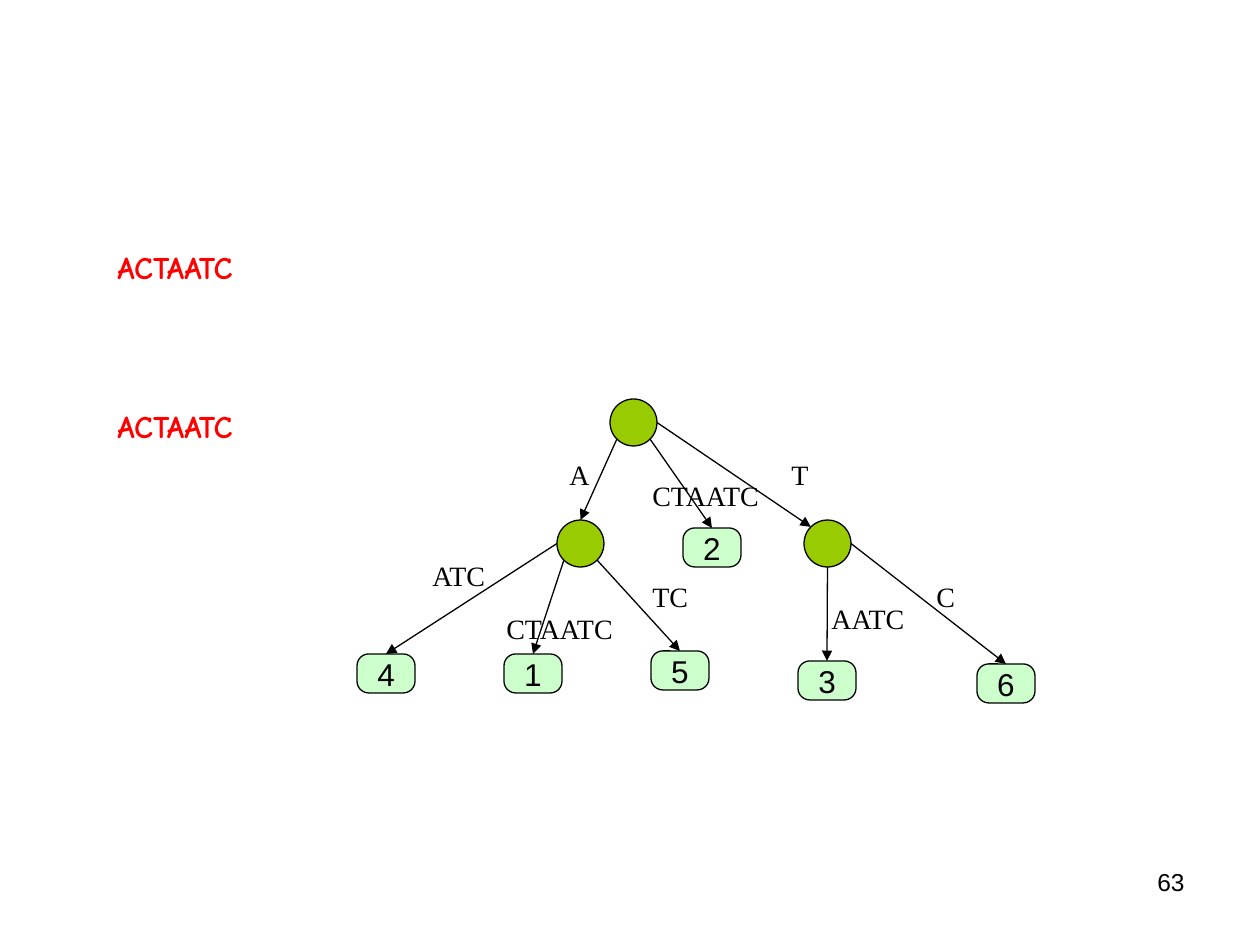
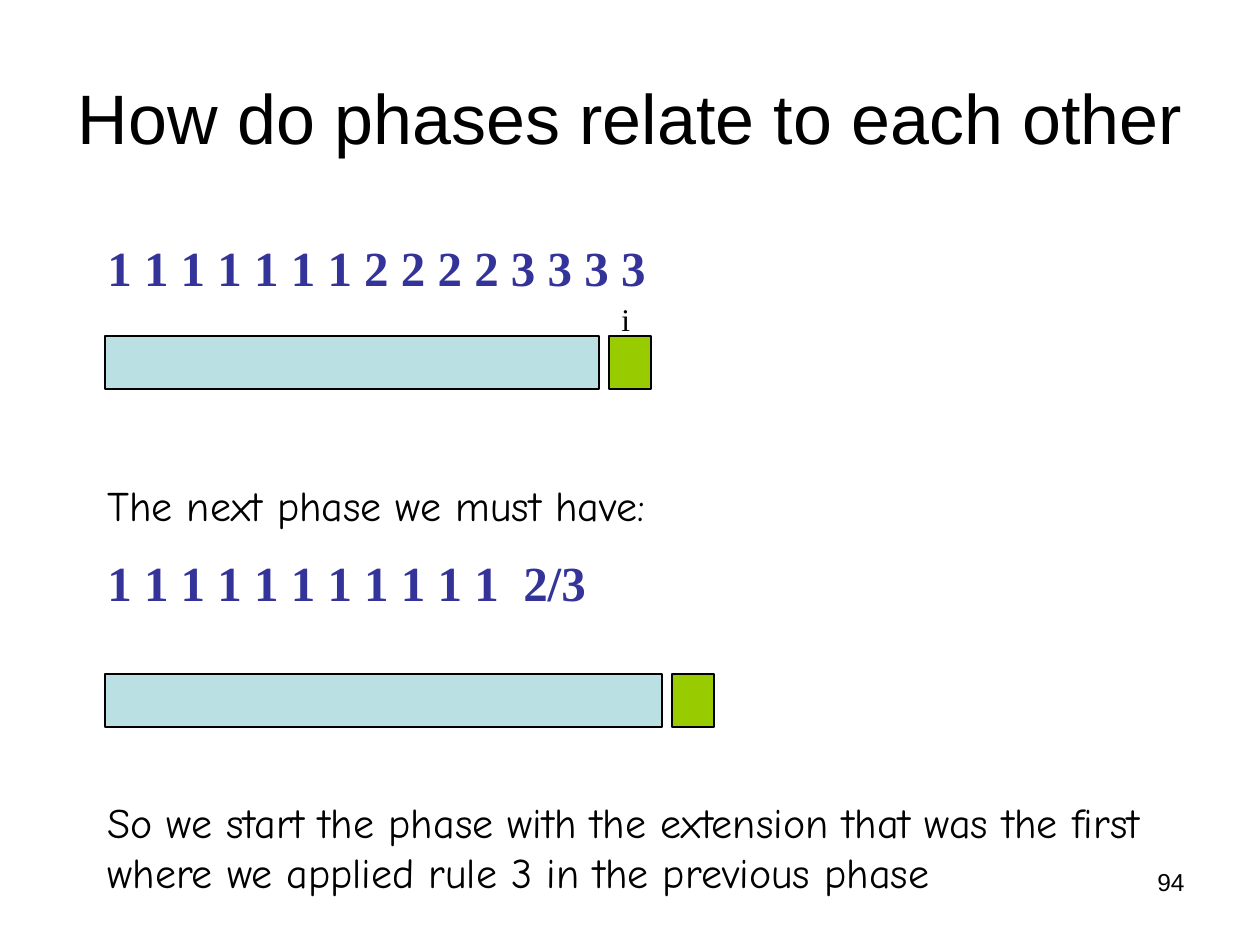
from dataclasses import dataclass
from math import sqrt

from lxml import etree
from pptx import Presentation
from pptx import util as u
from pptx.dml.color import RGBColor
from pptx.enum import shapes, text
from pptx.oxml.ns import qn

PX = 914400 / 126


def px(length):
    return u.Emu(round(length * PX))


@dataclass(frozen=True)
class Theme:
    black: str = "000000"
    red: str = "FF0000"
    navy: str = "333399"
    green: str = "99CC00"
    mint: str = "CCFFCC"
    aqua: str = "BBE0E3"
    sans: str = "Arial"
    hand: str = "Comic Neue"
    serif: str = "Times New Roman"
    title: int = 40
    digits: int = 28
    body: int = 24
    normal: int = 18
    edge: int = 16
    footer: int = 14
    outline: float = 0.75


T = Theme()
LEFT, CENTER, RIGHT = text.PP_ALIGN.LEFT, text.PP_ALIGN.CENTER, text.PP_ALIGN.RIGHT
PRESET = shapes.MSO_SHAPE


# Shared parts
def write(frame, words, size, font, color=T.black, bold=False, align=LEFT):
    line = frame.paragraphs[0]
    line.text = words
    line.alignment = align
    line.font.size = u.Pt(size)
    line.font.name = font
    line.font.bold = bold
    line.font.color.rgb = RGBColor.from_string(color)


def add_text(slide, box, words, size, font, anchor=text.MSO_ANCHOR.TOP, **style):
    frame = slide.shapes.add_textbox(*map(px, box)).text_frame
    frame.word_wrap = True
    frame.vertical_anchor = anchor
    write(frame, words, size, font, **style)


def add_outlined(slide, preset, box, fill):
    outlined = slide.shapes.add_shape(preset, *map(px, box))
    outlined.shadow.inherit = False
    outlined.fill.solid()
    outlined.fill.fore_color.rgb = RGBColor.from_string(fill)
    outlined.line.color.rgb = RGBColor.from_string(T.black)
    outlined.line.width = u.Pt(T.outline)
    return outlined


def add_title(slide, words):
    add_text(slide, (63, 38, 1134, 158), words, T.title, T.sans,
             anchor=text.MSO_ANCHOR.MIDDLE, align=CENTER)


def add_page_number(slide, number):
    add_text(slide, (903, 861, 294, 65), str(number), T.footer, T.sans, align=RIGHT)


# Suffix tree: all places are relative to the tree's corner
NODE, LEAF_W, LEAF_H = 47, 58, 39
NODES = {"root": (253, 0), "a": (200, 121), "t": (447, 121)}
LEAVES = {"1": (147, 255), "2": (326, 129), "3": (441, 262),
          "4": (0, 255), "5": (294, 252), "6": (620, 265)}
D = 1 / sqrt(2)
TOP, TOP_LEFT, MID_LEFT, LOW_LEFT = (0, -1), (-D, -D), (-1, 0), (-D, D)
BOTTOM, LOW_RIGHT, MID_RIGHT = (0, 1), (D, D), (1, 0)
NODE_EDGES = [("root", LOW_LEFT, "a", TOP), ("root", MID_RIGHT, "t", TOP_LEFT)]
LEAF_EDGES = [("root", LOW_RIGHT, "2"), ("a", MID_LEFT, "4"), ("a", LOW_LEFT, "1"),
              ("a", LOW_RIGHT, "5"), ("t", BOTTOM, "3"), ("t", MID_RIGHT, "6")]
EDGE_LABELS = [("A", 200, 52, 84), ("CTAATC", 283, 73, 147), ("T", 422, 52, 135),
               ("ATC", 63, 153, 84), ("CTAATC", 137, 206, 158), ("TC", 283, 174, 84),
               ("AATC", 462, 196, 135), ("C", 567, 174, 135)]


def rim_point(node, direction):
    """Point on a node's rim, in the given direction from its centre."""
    return [corner + NODE / 2 * (1 + step)
            for corner, step in zip(NODES[node], direction)]


def add_arrow(slide, start, end):
    arrow = slide.shapes.add_connector(
        shapes.MSO_CONNECTOR.STRAIGHT, *map(px, (*start, *end)))
    arrow.line.color.rgb = RGBColor.from_string(T.black)
    arrow.line.width = u.Pt(T.outline)
    properties = arrow._element.spPr
    etree.SubElement(properties.find(qn("a:ln")), qn("a:tailEnd"), type="triangle")
    etree.SubElement(properties, qn("a:effectLst"))
    return arrow


def suffix_tree(slide, left, top):
    def place(point):
        return left + point[0], top + point[1]

    # Nodes and numbered leaves
    for corner in NODES.values():
        add_outlined(slide, PRESET.OVAL, (*place(corner), NODE, NODE), T.green)
    leaves = {}
    for number, corner in LEAVES.items():
        leaf = add_outlined(slide, PRESET.ROUNDED_RECTANGLE,
                            (*place(corner), LEAF_W, LEAF_H), T.mint)
        leaf.adjustments[0] = 0.3
        leaf.text_frame.word_wrap = False
        leaf.text_frame.vertical_anchor = text.MSO_ANCHOR.MIDDLE
        write(leaf.text_frame, number, T.normal, T.sans, align=CENTER)
        leaves[number] = leaf

    # Edges and their labels
    for parent, leaving, child, entering in NODE_EDGES:
        add_arrow(slide, place(rim_point(parent, leaving)),
                  place(rim_point(child, entering)))
    for parent, leaving, number in LEAF_EDGES:
        arrow = add_arrow(slide, place(rim_point(parent, leaving)),
                          place(LEAVES[number]))
        arrow.end_connect(leaves[number], 0)
    for letters, x, y, width in EDGE_LABELS:
        add_text(slide, (*place((x, y)), width, 47), letters, T.edge, T.serif)


def tree_slide(slide):
    for top, width in ((242, 840), (401, 210)):
        add_text(slide, (105, top, width, 50), "ACTAATC", T.normal, T.hand,
                 color=T.red, bold=True)
    suffix_tree(slide, 357, 399)
    add_page_number(slide, 63)


# Phases
def phase_bar(slide, left, top, prefix_width):
    """Prefix followed by its next character; returns the character's left."""
    height, gap, character_width = 53, 10, 42
    character_left = left + prefix_width + gap
    add_outlined(slide, PRESET.RECTANGLE, (left, top, prefix_width, height), T.aqua)
    add_outlined(slide, PRESET.RECTANGLE,
                 (character_left, top, character_width, height), T.green)
    return character_left


def phases_slide(slide):
    add_title(slide, "How do phases relate to each other")
    for top, rules in ((231, "1 1 1 1 1 1 1 2 2 2 2 3 3 3 3"),
                       (546, "1 1 1 1 1 1 1 1 1 1 1  2/3")):
        add_text(slide, (95, top, 1061, 72), rules, T.digits, T.serif,
                 color=T.navy, bold=True)
    index_left = phase_bar(slide, 105, 336, 494)
    add_text(slide, (index_left, 294, 53, 50), "i", T.normal, T.serif)
    phase_bar(slide, 105, 674, 557)
    for top, width, height, sentence in (
            (473, 1071, 63, "The next phase we must have:"),
            (790, 1165, 113, "So we start the phase with the extension that was "
             "the first where we applied rule 3 in the previous phase")):
        add_text(slide, (95, top, width, height), sentence, T.body, T.hand)
    add_page_number(slide, 94)


def main():
    deck = Presentation()
    deck.slide_width, deck.slide_height = px(1260), px(945)
    for build in (tree_slide, phases_slide):
        build(deck.slides.add_slide(deck.slide_layouts[6]))
    deck.save("out.pptx")


if __name__ == "__main__":
    main()
